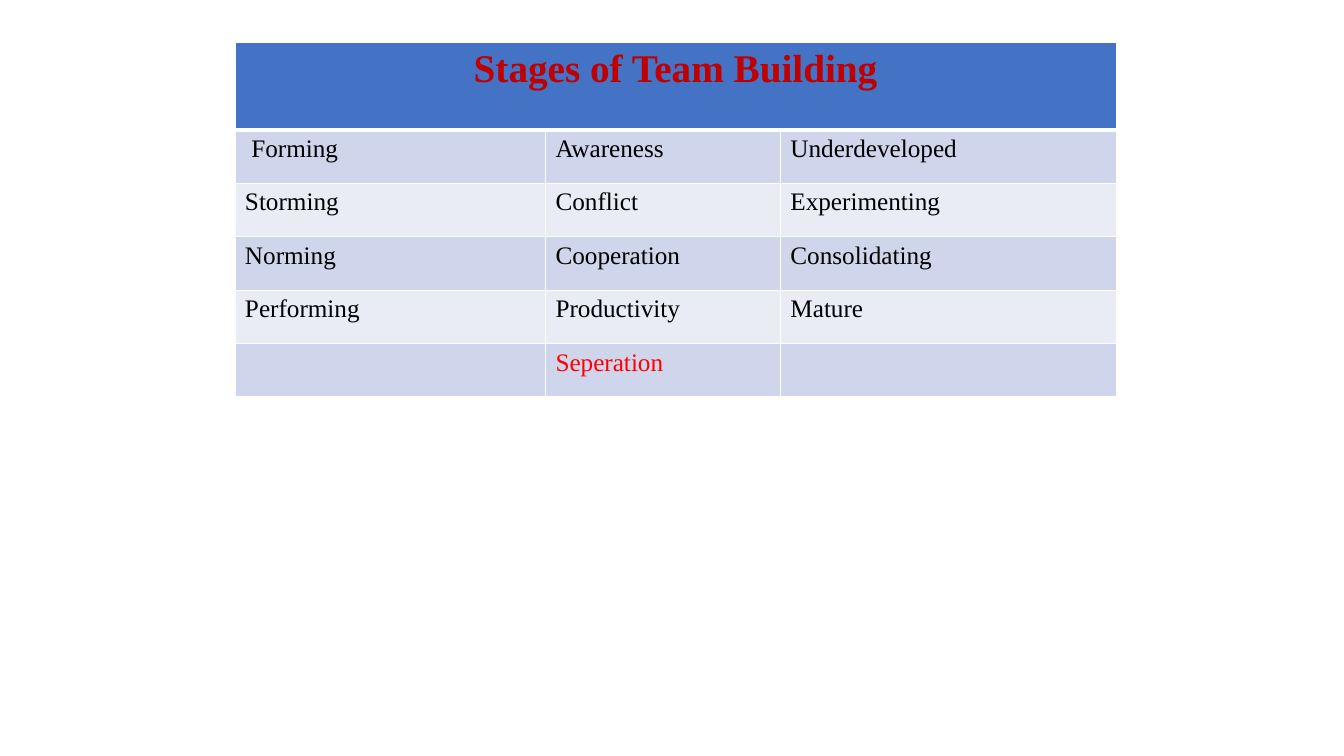
from dataclasses import dataclass

from lxml import etree
from pptx import Presentation
from pptx.dml.color import RGBColor
from pptx.enum.text import PP_ALIGN
from pptx.oxml.ns import qn
from pptx.util import Inches, Pt

LEFT, CENTER = PP_ALIGN.LEFT, PP_ALIGN.CENTER


@dataclass(frozen=True)
class Theme:
    """Colours, font and sizes of the slide."""
    font: str = "Times New Roman"
    title: str = "C00000"
    text: str = "000000"
    alert: str = "FF0000"
    head: str = "4472C4"
    bands: tuple[str, str] = ("CFD5EA", "E9EBF5")
    rule: str = "FFFFFF"
    thin: float = 1
    thick: float = 3
    large: float = 28
    body: float = 18


@dataclass(frozen=True)
class Stage:
    """One row of the stage table."""
    name: str
    focus: str
    level: str
    color: str


THEME = Theme()
TITLE = "Stages of Team Building"
STAGES = [
    Stage(" Forming", "Awareness", "Underdeveloped", THEME.text),
    Stage("Storming", "Conflict", "Experimenting", THEME.text),
    Stage("Norming", "Cooperation", "Consolidating", THEME.text),
    Stage("Performing", "Productivity", "Mature", THEME.text),
    Stage("", "Seperation", "", THEME.alert),
]
WIDTHS = (3.08, 2.33, 3.33)
HEAD_H, ROW_H = 0.87, 0.53


def paint(cell, fill: str, top: float, bottom: float) -> None:
    """Fill a cell and draw its four borders."""
    cell.fill.solid()
    cell.fill.fore_color.rgb = RGBColor.from_string(fill)
    props = cell._tc.get_or_add_tcPr()
    sides = {"L": THEME.thin, "R": THEME.thin, "T": top, "B": bottom}
    for place, (side, width) in enumerate(sides.items()):
        line = etree.Element(qn(f"a:ln{side}"), w=str(Pt(width)))
        solid = etree.SubElement(line, qn("a:solidFill"))
        etree.SubElement(solid, qn("a:srgbClr"), val=THEME.rule)
        props.insert(place, line)


def write(cell, text: str, size: float, color: str,
          bold: bool = False, align: PP_ALIGN = LEFT) -> None:
    """Write one run of text in a cell."""
    para = cell.text_frame.paragraphs[0]
    para.alignment = align
    para.font.size = Pt(size)
    if text:
        run = para.add_run()
        run.text = text
        run.font.name = THEME.font
        run.font.size = Pt(size)
        run.font.bold = bold
        run.font.color.rgb = RGBColor.from_string(color)


def build(slide) -> None:
    """Draw the stage table on the slide."""
    frame = slide.shapes.add_table(
        len(STAGES) + 1, len(WIDTHS), Inches(2.33), Inches(0.42),
        Inches(sum(WIDTHS)), Inches(HEAD_H + ROW_H * len(STAGES)))
    table = frame.table
    for col, width in zip(table.columns, WIDTHS):
        col.width = Inches(width)
    for index, row in enumerate(table.rows):
        row.height = Inches(ROW_H if index else HEAD_H)

    for cell in table.rows[0].cells:
        paint(cell, THEME.head, THEME.thin, THEME.thick)
    title = table.cell(0, 0)
    title.merge(table.cell(0, len(WIDTHS) - 1))
    write(title, TITLE, THEME.large, THEME.title, True, CENTER)

    for index, stage in enumerate(STAGES):
        top = THEME.thin if index else THEME.thick
        words = (stage.name, stage.focus, stage.level)
        for cell, word in zip(table.rows[index + 1].cells, words):
            paint(cell, THEME.bands[index % 2], top, THEME.thin)
            write(cell, word, THEME.body, stage.color)


def main() -> None:
    """Make the slide and save it."""
    deck = Presentation()
    deck.slide_width, deck.slide_height = Inches(13.33), Inches(7.5)
    build(deck.slides.add_slide(deck.slide_layouts[6]))
    deck.save("out.pptx")


if __name__ == "__main__":
    main()
